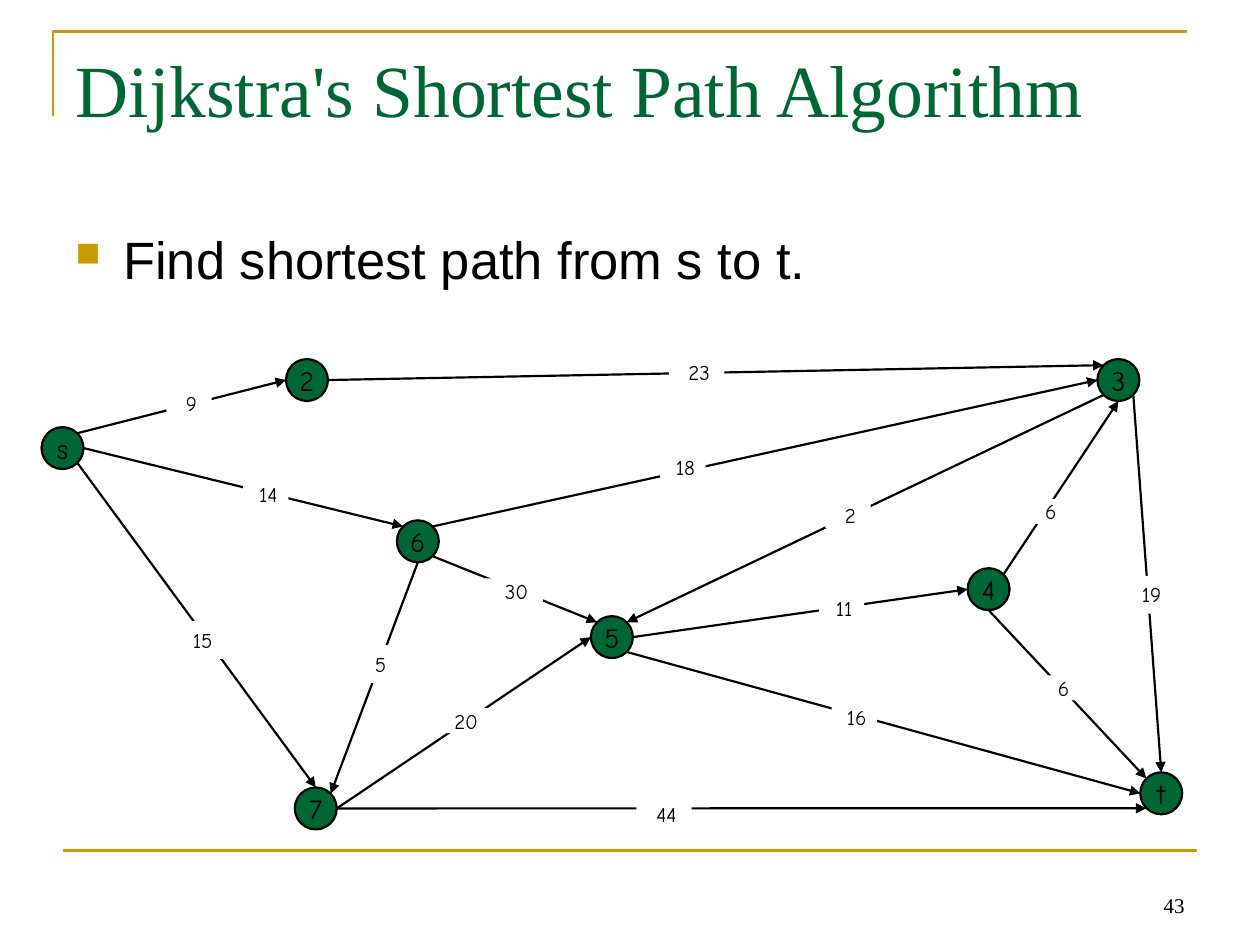
from collections import namedtuple
from dataclasses import dataclass

from lxml.etree import SubElement
from pptx import Presentation
from pptx.dml.color import RGBColor
from pptx.enum.shapes import MSO_CONNECTOR as Connector, MSO_SHAPE as Shape
from pptx.enum.text import MSO_ANCHOR as Anchor, PP_ALIGN as Align
from pptx.oxml.ns import qn
from pptx.util import Emu, Inches, Pt

Box = namedtuple("Box", "left top width height")
Label = namedtuple("Label", "weight column row width height", defaults=(3.6, 2))


@dataclass(frozen=True)
class Theme:
    green: RGBColor = RGBColor(0x00, 0x66, 0x33)
    gold: RGBColor = RGBColor(0xCC, 0x99, 0x00)
    black: RGBColor = RGBColor(0, 0, 0)
    white: RGBColor = RGBColor(0xFF, 0xFF, 0xFF)
    serif: str = "Times New Roman"
    sans: str = "Arial"
    hand: str = "Comic Neue"
    title: float = 42
    body: float = 30
    node: float = 16
    small: float = 12
    rule: float = 1.5
    edge: float = 1.25


THEME = Theme()
WIDTH, HEIGHT = Inches(10), Inches(7.5)
CELL = WIDTH / 100
NODE_SIZE = 3.33

# Column and row of each node's upper left corner, in cells of the diagram
NODES = {
    "s": (0, 5.4), "3": (83.8, 0), "t": (87.2, 32.8), "2": (19.4, 0),
    "6": (28.2, 12.8), "7": (20.1, 34), "4": (73.5, 16.6), "5": (43.6, 20.4),
}
# Directions from a node's centre to its rim, in radii
PORTS = {
    "N": (0, -1), "E": (1, 0), "S": (0, 1), "W": (-1, 0),
    "NE": (0.71, -0.71), "SE": (0.71, 0.71),
    "SW": (-0.71, 0.71), "NW": (-0.71, -0.71),
}
EDGES = [
    ("s", "NE", "2", "W"), ("s", "E", "6", "NW"), ("s", "SE", "7", "N"),
    ("6", "NE", "3", "W"), ("4", "NE", "3", "S"), ("6", "SE", "5", "NW"),
    ("5", "SE", "t", "W"), ("5", "E", "4", "W"), ("4", "S", "t", "NW"),
    ("3", "SW", "5", "NE"), ("6", "S", "7", "NE"), ("7", "E", "5", "W"),
    ("2", "E", "3", "NW"), ("7", "E", "t", "SW"), ("3", "SE", "t", "N"),
]
LABELS = [
    Label("23", 49.8, 0, 4.4), Label("18", 49.1, 7.6), Label("2", 62.2, 11.4),
    Label("9", 9.9, 2.5), Label("14", 16, 9.7), Label("15", 10.8, 20.8, height=3),
    Label("5", 24.9, 22.7, height=3), Label("30", 35.2, 17.4, 4.6),
    Label("20", 31.3, 27.7, 4.4), Label("44", 47.2, 35.1, 4.4),
    Label("16", 62.7, 27.4), Label("11", 61.7, 18.8), Label("6", 78.1, 11.1),
    Label("19", 86.1, 17.2, height=3), Label("6", 79.1, 25.1),
]


def share(left, top, width, height):
    """Box from percentages of the slide's width and height."""
    return Box(*(Emu(round(part * whole / 100)) for part, whole in
                 zip((left, top, width, height), (WIDTH, HEIGHT) * 2)))


def cells(box, column, row, width, height):
    """Box from cells counted from the upper left corner of another box."""
    return Box(Emu(round(box.left + column * CELL)), Emu(round(box.top + row * CELL)),
               Emu(round(width * CELL)), Emu(round(height * CELL)))


def write(shape, text, *, font, size, color=THEME.black, align=Align.LEFT,
          anchor=Anchor.TOP, margins=(0.1, 0.05, 0.1, 0.05), wrap=True, bullet=None):
    frame = shape.text_frame
    frame.word_wrap = wrap
    frame.vertical_anchor = anchor
    (frame.margin_left, frame.margin_top,
     frame.margin_right, frame.margin_bottom) = map(Inches, margins)
    paragraph = frame.paragraphs[0]
    paragraph.text = text
    paragraph.alignment = align
    if bullet:
        add_bullet(paragraph, bullet)
    paragraph.font.name, paragraph.font.size = font, Pt(size)
    paragraph.font.color.rgb = color


def add_bullet(paragraph, symbol, indent=Inches(0.38)):
    properties = paragraph._p.get_or_add_pPr()
    properties.set("marL", str(indent))
    properties.set("indent", str(-indent))
    color = SubElement(properties, qn("a:buClr"))
    SubElement(color, qn("a:srgbClr"), val=str(THEME.gold))
    SubElement(properties, qn("a:buSzPct"), val="65000")
    SubElement(properties, qn("a:buChar"), char=symbol)


def add_line(slide, start, end, color, width, arrow=False):
    line = slide.shapes.add_connector(Connector.STRAIGHT, *start, *end)
    line.line.color.rgb = color
    line.line.width = Pt(width)
    if arrow:
        SubElement(line.line._get_or_add_ln(), qn("a:tailEnd"), type="triangle")
    SubElement(line._element.spPr, qn("a:effectLst"))


def add_frame(slide, box):
    """Gold corner above the title and gold rule below the diagram."""
    right, corner_bottom = box.left + box.width, box.top + Inches(0.67)
    builder = slide.shapes.build_freeform(box.left, corner_bottom)
    builder.add_line_segments([(box.left, box.top), (right, box.top)], close=False)
    corner = builder.convert_to_shape()
    corner.shadow.inherit = False
    corner.fill.background()
    corner.line.color.rgb = THEME.gold
    corner.line.width = Pt(THEME.rule)

    bottom, shift = box.top + box.height, Inches(0.08)
    add_line(slide, (box.left + shift, bottom), (right + shift, bottom),
             THEME.gold, THEME.rule)


def add_title(slide, box, text):
    title = slide.shapes.title
    title.left, title.top, title.width, title.height = box
    write(title, text, font=THEME.serif, size=THEME.title, color=THEME.green)


def add_text(slide, box, text, **style):
    write(slide.shapes.add_textbox(*box), text, **style)


def add_node(slide, box, name):
    node = slide.shapes.add_shape(Shape.OVAL, *box)
    node.shadow.inherit = False
    node.fill.solid()
    node.fill.fore_color.rgb = THEME.green
    node.line.color.rgb = THEME.black
    node.line.width = Pt(THEME.edge)
    write(node, name, font=THEME.hand, size=THEME.node, align=Align.CENTER,
          anchor=Anchor.MIDDLE, wrap=False)


def add_weight(slide, box, label):
    patch = slide.shapes.add_shape(Shape.RECTANGLE, *box)
    patch.shadow.inherit = False
    patch.fill.solid()
    patch.fill.fore_color.rgb = THEME.white
    patch.line.fill.background()
    padding = 0.05 if label.height > 2 else 0
    write(patch, label.weight, font=THEME.hand, size=THEME.small,
          align=Align.CENTER, margins=(0.04, padding, 0, padding))


def port_point(node, port):
    radius = node.width / 2
    across, down = PORTS[port]
    return (Emu(round(node.left + radius * (1 + across))),
            Emu(round(node.top + radius * (1 + down))))


def add_graph(slide, box):
    nodes = {name: cells(box, *corner, NODE_SIZE, NODE_SIZE)
             for name, corner in NODES.items()}
    for name, node in nodes.items():
        add_node(slide, node, name)
    for source, leaving, target, entering in EDGES:
        add_line(slide, port_point(nodes[source], leaving),
                 port_point(nodes[target], entering),
                 THEME.black, THEME.edge, arrow=True)
    for label in LABELS:
        add_weight(slide, cells(box, *label[1:]), label)


def main():
    presentation = Presentation()
    presentation.slide_width, presentation.slide_height = WIDTH, HEIGHT
    slide = presentation.slides.add_slide(presentation.slide_layouts[5])
    add_frame(slide, share(4.2, 3.33, 90, 86.67))
    add_title(slide, share(5, 4, 90, 16.67), "Dijkstra's Shortest Path Algorithm")
    add_text(slide, share(5, 23.33, 90, 66), "Find shortest path from s to t.",
             font=THEME.sans, size=THEME.body, bullet="■")
    add_text(slide, share(71.7, 91.07, 23.3, 6.67), "43", font=THEME.serif,
             size=THEME.small, align=Align.RIGHT, anchor=Anchor.BOTTOM)
    add_graph(slide, share(3.3, 38, 90.5, 49.8))
    presentation.save("out.pptx")


if __name__ == "__main__":
    main()
